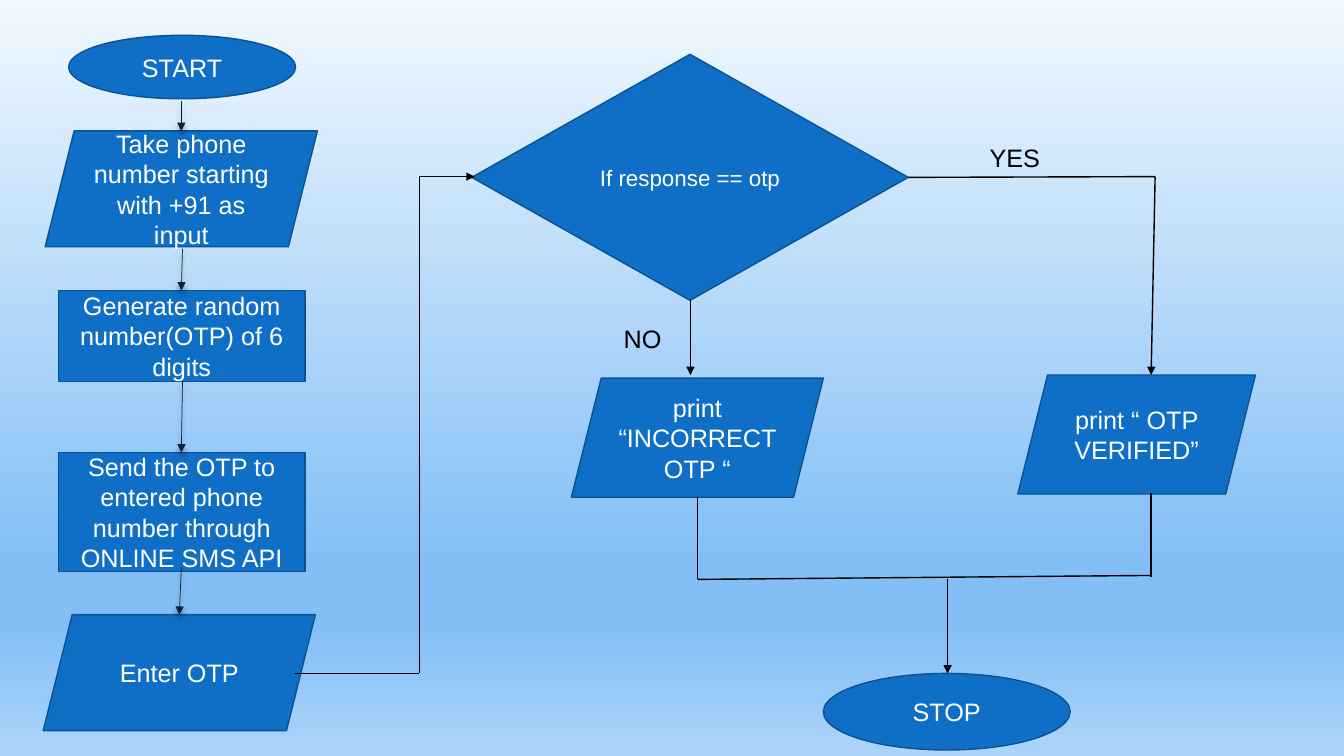
from pptx import Presentation
from pptx.dml.color import RGBColor as Rgb
from pptx.enum.shapes import MSO_CONNECTOR as Link, MSO_SHAPE as Kind
from pptx.enum.text import MSO_ANCHOR as Anchor, MSO_AUTO_SIZE as Fit, PP_ALIGN as Align
from pptx.oxml import parse_xml
from pptx.oxml.ns import nsdecls
from pptx.util import Cm, Pt

FONT = "Arial"
COLORS = {
    "fill": "0F6FC6",
    "edge": "0B5292",
    "white": "FFFFFF",
    "black": "000000",
    "flow": "0C2036",
}
STOPS = [(0, "F1F8FE"), (74, "83BFF6"), (83, "83BFF6"), (100, "ACD4F9")]

# kind, text, left, top, width, height, text size
NODES = [
    (Kind.OVAL, "START", 1.73, 0.89, 5.72, 1.6, 18),
    (Kind.PARALLELOGRAM, "Take phone number starting with +91 as input",
     1.14, 3.3, 6.86, 2.92, 18),
    (Kind.RECTANGLE, "Generate random number(OTP) of 6 digits",
     1.47, 7.32, 6.22, 2.29, 18),
    (Kind.RECTANGLE, "Send the OTP to entered phone number through ONLINE SMS API",
     1.47, 11.4, 6.22, 3, 18),
    (Kind.PARALLELOGRAM, "Enter OTP", 1.09, 15.49, 6.86, 2.92, 18),
    (Kind.DIAMOND, "If response == otp", 11.89, 1.37, 11, 6.2, 16),
    (Kind.PARALLELOGRAM, "print “INCORRECT OTP “", 14.4, 9.53, 6.35, 3, 18),
    (Kind.PARALLELOGRAM, "print “ OTP VERIFIED”", 25.65, 9.45, 5.99, 3, 18),
    (Kind.OVAL, "STOP", 20.75, 16.97, 6.22, 1.93, 18),
]
LABELS = [("YES", 24.69, 3.45, 1.8, 1.02), ("NO", 15.47, 8.03, 1.47, 1.02)]

# start x, start y, end x, end y
STEPS = [
    (4.57, 2.54, 4.57, 3.3),
    (4.6, 6.27, 4.57, 7.32),
    (4.6, 9.6, 4.57, 11.4),
    (4.57, 14.3, 4.52, 15.49),
]
ARROWS = [
    (10.57, 4.45, 11.96, 4.45),
    (17.4, 7.57, 17.4, 9.45),
    (29.11, 4.45, 29.01, 9.45),
    (23.88, 14.6, 23.88, 16.97),
]
LINES = [
    (10.57, 16.97, 7.44, 16.97),
    (10.57, 4.45, 10.57, 16.97),
    (29.11, 4.45, 22.89, 4.47),
    (17.58, 14.6, 29.01, 14.5),
    (17.58, 14.6, 17.58, 12.52),
    (29.01, 14.53, 29.01, 12.42),
]
SHADOW = (
    '<a:outerShdw blurRad="50800" dist="38100" dir="5400000" rotWithShape="0">'
    '<a:srgbClr val="000000"><a:alpha val="40000"/></a:srgbClr></a:outerShdw>'
)


def color(name):
    return Rgb.from_string(COLORS[name])


def paint_back(slide):
    """Fill the background with a vertical gradient of several stops."""
    fill = slide.background.fill
    fill.gradient()
    fill.gradient_angle = 270
    stops = slide.element.xpath(".//a:gsLst")[0]
    for old in list(stops):
        stops.remove(old)
    for place, tone in STOPS:
        stops.append(parse_xml(
            f'<a:gs {nsdecls("a")} pos="{place * 1000}"><a:srgbClr val="{tone}"/></a:gs>'))


def write(shape, text, size, tone):
    shape.text_frame.text = text
    font = shape.text_frame.paragraphs[0].runs[0].font
    font.name = FONT
    font.size = Pt(size)
    font.color.rgb = color(tone)


def add_node(slide, kind, text, left, top, width, height, size):
    node = slide.shapes.add_shape(kind, Cm(left), Cm(top), Cm(width), Cm(height))
    node.shadow.inherit = False
    node.fill.solid()
    node.fill.fore_color.rgb = color("fill")
    node.line.color.rgb = color("edge")
    node.line.width = Pt(1)
    write(node, text, size, "white")
    frame = node.text_frame
    frame.word_wrap = True
    frame.vertical_anchor = Anchor.MIDDLE
    frame.paragraphs[0].alignment = Align.CENTER


def add_label(slide, text, left, top, width, height):
    label = slide.shapes.add_textbox(Cm(left), Cm(top), Cm(width), Cm(height))
    write(label, text, 18, "black")
    label.text_frame.word_wrap = False
    label.text_frame.auto_size = Fit.SHAPE_TO_FIT_TEXT


def add_line(slide, ends, tone="black", width=1, arrow=False, effect=""):
    line = slide.shapes.add_connector(Link.STRAIGHT, *map(Cm, ends))
    line.line.color.rgb = color(tone)
    line.line.width = Pt(width)
    props = line.element.spPr
    if arrow:
        props.find("{*}ln").append(
            parse_xml(f'<a:tailEnd {nsdecls("a")} type="triangle"/>'))
    props.append(parse_xml(f'<a:effectLst {nsdecls("a")}>{effect}</a:effectLst>'))


def main():
    deck = Presentation()
    deck.slide_width, deck.slide_height = Cm(33.87), Cm(19.05)
    slide = deck.slides.add_slide(deck.slide_layouts[6])
    paint_back(slide)
    for node in NODES:
        add_node(slide, *node)
    for label in LABELS:
        add_label(slide, *label)
    for ends in STEPS:
        add_line(slide, ends, "flow", 0.5, True, SHADOW)
    for ends in ARROWS:
        add_line(slide, ends, arrow=True)
    for ends in LINES:
        add_line(slide, ends)
    deck.save("out.pptx")


if __name__ == "__main__":
    main()
